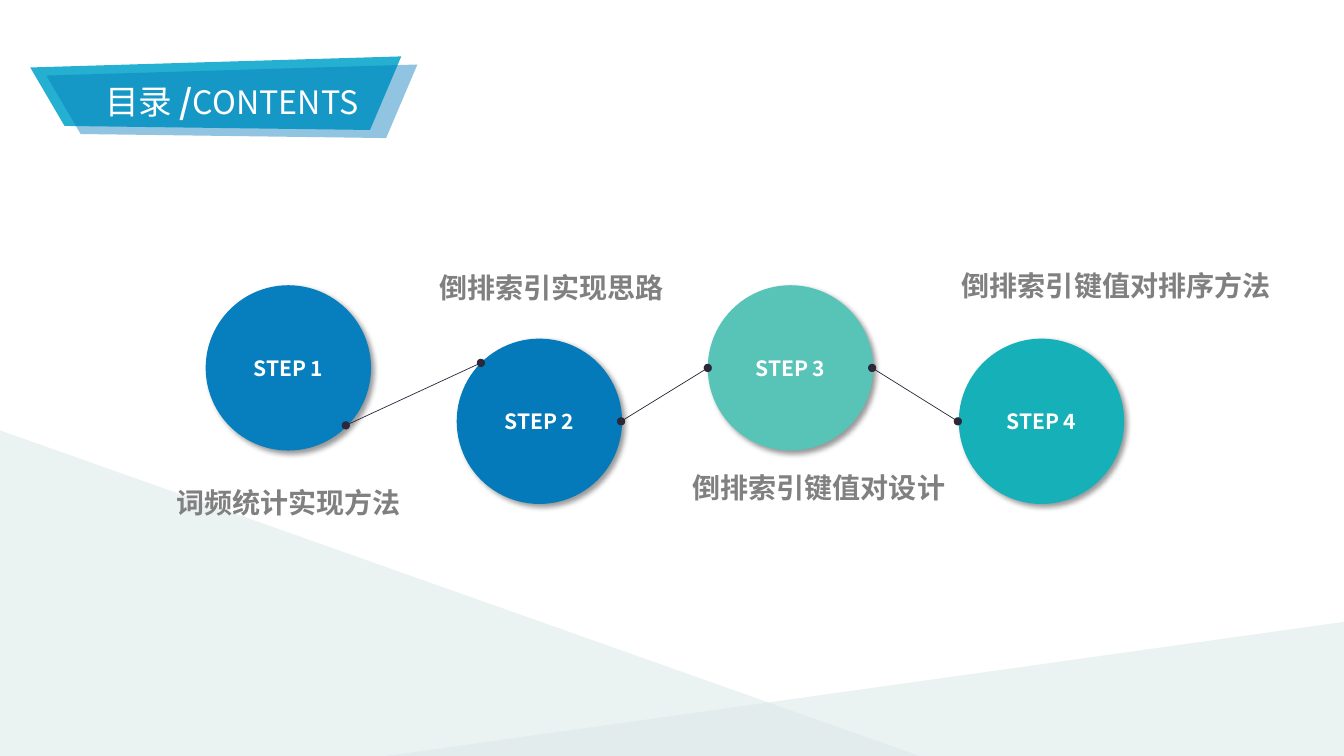
from dataclasses import dataclass

from lxml.etree import SubElement
from pptx import Presentation
from pptx.dml.color import RGBColor
from pptx.enum.shapes import MSO_CONNECTOR, MSO_SHAPE
from pptx.enum.text import MSO_ANCHOR, MSO_AUTO_SIZE, PP_ALIGN
from pptx.oxml.ns import qn
from pptx.util import Inches, Pt


@dataclass(frozen=True)
class Theme:
    font: str = "Noto Sans CJK SC"
    white: str = "FFFFFF"
    backdrop: str = "DDE9E8"
    banner: str = "25B0D2"
    banner_front: str = "047ABA"
    steps: tuple = ("077FBF", "047ABA", "58C4B8", "15B0B8")
    link: str = "2B2939"
    label: str = "808080"
    title_size: int = 24
    subtitle_size: int = 23
    step_size: int = 15
    label_size: int = 20


THEME = Theme()

# Each label with its left and top
LABELS = (
    ("词频统计实现方法", 1.75, 4.82, 2.67),
    ("倒排索引实现思路", 4.36, 2.68, 2.67),
    ("倒排索引键值对设计", 6.87, 4.67, 2.67),
    ("倒排索引键值对排序方法", 9.54, 2.66, 3.16),
)
# Start and end of each link between neighbouring steps
LINKS = (
    (3.43, 4.22, 4.77, 3.6),
    (6.16, 4.18, 7.02, 3.65),
    (8.65, 3.65, 9.5, 4.18),
)
BANNER_OUTLINE = ((0.3, 0.67), (0.64, 1.25), (3.67, 1.29), (3.98, 0.56))


def paint(sp, color, opacity=100):
    sp.shadow.inherit = False
    sp.line.fill.background()
    sp.fill.solid()
    sp.fill.fore_color.rgb = RGBColor.from_string(color)
    if opacity < 100:
        clr = sp._element.spPr.find(qn("a:solidFill"))[0]
        SubElement(clr, qn("a:alpha"), val=str(opacity * 1000))


def style_paragraph(p, color, size=None, bold=None):
    font = p.font
    font.name = THEME.font
    font.bold = bold
    font.color.rgb = RGBColor.from_string(color)
    if size:
        font.size = Pt(size)
    SubElement(font._element, qn("a:ea"), typeface=THEME.font)


def set_margins(tf, x, y):
    tf.margin_left = tf.margin_right = Inches(x)
    tf.margin_top = tf.margin_bottom = Inches(y)


def add_backdrop(s, x, y, w, h, flipped=False):
    sp = s.shapes.add_shape(MSO_SHAPE.RIGHT_TRIANGLE, Inches(x), Inches(y), Inches(w), Inches(h))
    paint(sp, THEME.backdrop, 56)
    if flipped:
        sp._element.spPr.xfrm.set("flipH", "1")


def add_banner_layer(group, dx, dy, color, opacity=100):
    points = [(Inches(x + dx), Inches(y + dy)) for x, y in BANNER_OUTLINE]
    builder = group.shapes.build_freeform(*points[0])
    builder.add_line_segments(points[1:], close=True)
    sp = builder.convert_to_shape()
    paint(sp, color, opacity)
    return sp


def add_banner(s):
    group = s.shapes.add_group_shape()
    add_banner_layer(group, 0, 0, THEME.banner)
    sp = add_banner_layer(group, 0.16, 0.08, THEME.banner_front, 44)
    tf = sp.text_frame
    tf.vertical_anchor = MSO_ANCHOR.MIDDLE
    p = tf.paragraphs[0]
    p.alignment = PP_ALIGN.CENTER
    style_paragraph(p, THEME.white)
    for text, size, bold in (
        ("目录 ", THEME.title_size, False),
        ("/", THEME.title_size, True),
        ("CONTENTS", THEME.subtitle_size, False),
    ):
        r = p.add_run()
        r.text = text
        r.font.size = Pt(size)
        r.font.bold = bold


def add_drop_shadow(sp):
    effects = sp._element.spPr.find(qn("a:effectLst"))
    shadow = SubElement(effects, qn("a:outerShdw"), blurRad=str(Pt(4)), dist=str(Pt(3)),
                        dir=str(45 * 60000), algn="tl", rotWithShape="0")
    clr = SubElement(shadow, qn("a:srgbClr"), val="000000")
    SubElement(clr, qn("a:alpha"), val="40000")


def add_step(s, index, color):
    left, top = 2.04 + 2.49 * index, 2.83 + 0.53 * (index % 2)
    sp = s.shapes.add_shape(MSO_SHAPE.OVAL, Inches(left), Inches(top), Inches(1.64), Inches(1.64))
    paint(sp, color)
    add_drop_shadow(sp)
    tf = sp.text_frame
    set_margins(tf, 0.07, 0.04)
    tf.vertical_anchor = MSO_ANCHOR.MIDDLE
    p = tf.paragraphs[0]
    p.text = f"STEP {index + 1}"
    p.alignment = PP_ALIGN.CENTER
    style_paragraph(p, THEME.white, THEME.step_size, True)


def add_link(s, *ends):
    line = s.shapes.add_connector(MSO_CONNECTOR.STRAIGHT, *map(Inches, ends))
    line.line.color.rgb = RGBColor.from_string(THEME.link)
    line.line.width = Pt(0.5)
    ln = line.line._get_or_add_ln()
    for tag in ("a:headEnd", "a:tailEnd"):
        SubElement(ln, qn(tag), type="oval")
    SubElement(line._element.spPr, qn("a:effectLst"))


def add_label(s, text, x, y, w):
    tf = s.shapes.add_textbox(Inches(x), Inches(y), Inches(w), Inches(0.34)).text_frame
    set_margins(tf, 0, 0)
    tf.word_wrap = True
    tf.auto_size = MSO_AUTO_SIZE.SHAPE_TO_FIT_TEXT
    p = tf.paragraphs[0]
    p.text = text
    style_paragraph(p, THEME.label, THEME.label_size, True)


def main():
    prs = Presentation()
    prs.slide_width, prs.slide_height = Inches(13.33), Inches(7.5)
    s = prs.slides.add_slide(prs.slide_layouts[6])

    # Backdrop and title banner
    add_backdrop(s, 3.83, 6.16, 9.57, 1.34, flipped=True)
    add_backdrop(s, 0, 4.27, 9.12, 3.23)
    add_banner(s)

    # Steps, links and labels
    for index, color in enumerate(THEME.steps):
        add_step(s, index, color)
    for link in LINKS:
        add_link(s, *link)
    for label in LABELS:
        add_label(s, *label)

    prs.save("out.pptx")


if __name__ == "__main__":
    main()
